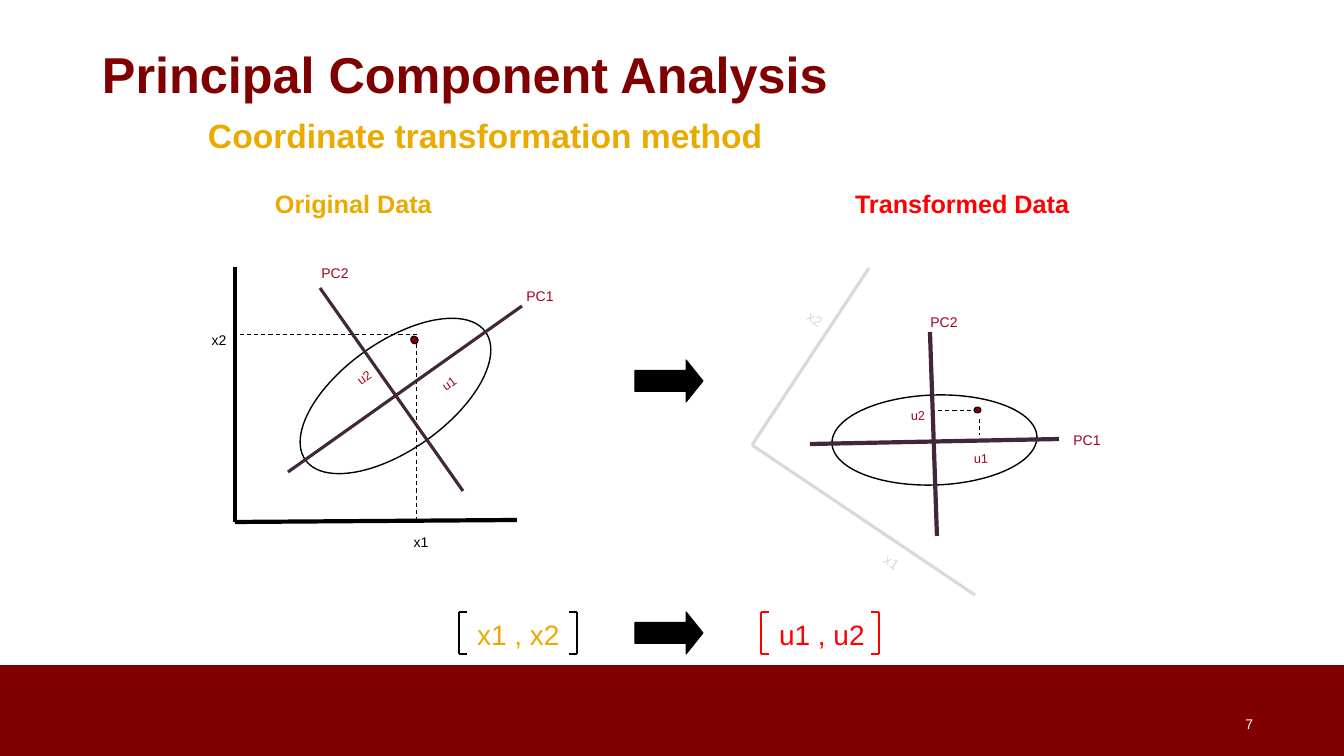
from pptx import Presentation
from pptx.dml.color import RGBColor
from pptx.enum.dml import MSO_LINE
from pptx.enum.shapes import MSO_CONNECTOR, MSO_SHAPE as Kind
from pptx.enum.text import MSO_ANCHOR as Anchor, PP_ALIGN as Align
from pptx.oxml.ns import qn
from pptx.util import Emu, Pt
from lxml.etree import SubElement

MAROON = RGBColor(0x80, 0, 0)
GOLD = RGBColor(0xEA, 0xAA, 0)
RED = RGBColor(0xFF, 0, 0)
CRIMSON = RGBColor(0xA5, 0, 0x21)
PLUM = RGBColor(0x41, 0x27, 0x3B)
GREY = RGBColor(0xD8, 0xD9, 0xD8)
BLACK = RGBColor(0, 0, 0)
WHITE = RGBColor(0xFF, 0xFF, 0xFF)

# Text: words, (left, top, width, height), size, colour, bold
HEADS = [
    ("Principal Component Analysis", (92, 0, 1159, 146), 36, MAROON, True),
    ("Coordinate transformation method", (198, 110, 874, 50), 24, GOLD, True),
    ("Original Data", (265, 183, 177, 40), 18, GOLD, True),
    ("Transformed Data", (845, 183, 236, 40), 18, RED, True),
    ("x1 , x2", (467, 613, 126, 43), 20, GOLD, False),
    ("u1 , u2", (769, 613, 109, 43), 20, RED, False),
]

# Labels: words, centre x, centre y, size, colour, turn
LABELS = [
    ("x1", 421, 542, 10, BLACK, 0),
    ("x2", 219, 340, 10, BLACK, 0),
    ("u1", 449, 383, 9, CRIMSON, 324.6),
    ("u2", 364, 377, 9, CRIMSON, 324.6),
    ("PC1", 540, 296, 10, CRIMSON, 0),
    ("PC2", 335, 273, 10, CRIMSON, 0),
    ("x1", 892, 562, 10, GREY, 33.5),
    ("x2", 815, 319, 10, GREY, 33.5),
    ("u1", 981, 458, 9, CRIMSON, 358.1),
    ("u2", 918, 415, 9, CRIMSON, 358.1),
    ("PC1", 1087, 440, 10, CRIMSON, 0),
    ("PC2", 944, 322, 10, CRIMSON, 0),
]

# Lines by style: colour, weight, dashed, ends
LINES = [
    (BLACK, 0.75, True, [(417, 344, 417, 520), (417, 335, 240, 335),
                         (971, 411, 937, 411), (980, 419, 980, 435)]),
    (BLACK, 3, False, [(235, 267, 235, 522), (235, 522, 517, 520)]),
    (GREY, 2.25, False, [(869, 268, 752, 445), (752, 445, 975, 595)]),
    (PLUM, 2.25, False, [(288, 472, 522, 306), (320, 288, 463, 491)]),
    (PLUM, 3, False, [(930, 332, 937, 536), (810, 444, 1059, 439)]),
]

# Ovals: (left, top, width, height), turn, fill, weight
OVALS = [
    ((285, 342, 221, 108), 324.6, None, 1),
    ((411, 336, 7, 8), 324.6, MAROON, 0.75),
    ((832, 395, 205, 90), 358.1, None, 1),
    ((974, 407, 7, 6), 358.1, MAROON, 0.75),
]
ARROWS = [(635, 360), (635, 612)]
BRACKETS = [(459, 577, BLACK), (761, 879, RED)]  # left stem, right stem
TOP, BASE, TICK = 612, 654, 8

deck = Presentation()
PX = 914400 / 100.8


def emu(*nums):
    return [Emu(round(n * PX)) for n in nums]


deck.slide_width, deck.slide_height = emu(1344, 756)
slide = deck.slides.add_slide(deck.slide_layouts[6])
shapes = slide.shapes


def text(words, box, size, hue, bold=False, align=Align.LEFT,
         anchor=Anchor.MIDDLE, pad=10, wrap=True):
    item = shapes.add_textbox(*emu(*box))
    frame = item.text_frame
    frame.word_wrap = wrap
    frame.vertical_anchor = anchor
    frame.margin_left, frame.margin_right = emu(pad, pad)
    frame.margin_top, frame.margin_bottom = emu(pad / 2, pad / 2)
    frame.text = words
    para = frame.paragraphs[0]
    para.alignment = align
    font = para.runs[0].font
    font.name, font.size, font.bold = "Arial", Pt(size), bold
    font.color.rgb = hue
    return item


def line(ends, hue, weight, dashed=False):
    item = shapes.add_connector(MSO_CONNECTOR.STRAIGHT, *emu(*ends))
    item.line.color.rgb = hue
    item.line.width = Pt(weight)
    if dashed:
        item.line.dash_style = MSO_LINE.DASH
    SubElement(item._element.spPr, qn("a:effectLst"))


def solid(kind, box, fill, weight=0.75, turn=0):
    item = shapes.add_shape(kind, *emu(*box))
    item.shadow.inherit = False
    item.rotation = turn
    if fill is None:
        item.fill.background()
    else:
        item.fill.solid()
        item.fill.fore_color.rgb = fill
    if weight:
        item.line.color.rgb = BLACK
        item.line.width = Pt(weight)
    else:
        item.line.fill.background()
    return item


# Footer band and page number
solid(Kind.RECTANGLE, (0, 665, 1344, 91), MAROON, 0)
text("7", (950, 704, 313, 40), 10, WHITE, align=Align.RIGHT)

# Headings and vectors
for words, box, size, hue, bold in HEADS:
    text(words, box, size, hue, bold)

# Both plots
for box, turn, fill, weight in OVALS:
    solid(Kind.OVAL, box, fill, weight, turn)
for hue, weight, dashed, group in LINES:
    for ends in group:
        line(ends, hue, weight, dashed)
for words, x, y, size, hue, turn in LABELS:
    wide, high = 12 * len(words), 16
    label = text(words, (x - wide / 2, y - high / 2, wide, high), size, hue,
                 align=Align.CENTER, pad=0, wrap=False)
    label.rotation = turn

# Arrows between the plots and the vectors
for x, y in ARROWS:
    arrow = solid(Kind.RIGHT_ARROW, (x, y, 68, 42), BLACK)
    arrow.adjustments[0], arrow.adjustments[1] = 0.5, 0.4

# Square brackets
for left, right, hue in BRACKETS:
    for stem, tip in ((left, left + TICK), (right, right - TICK)):
        line((stem, TOP, stem, BASE), hue, 1.5)
        for y in (TOP, BASE):
            line((stem, y, tip, y), hue, 1.5)

deck.save("out.pptx")
